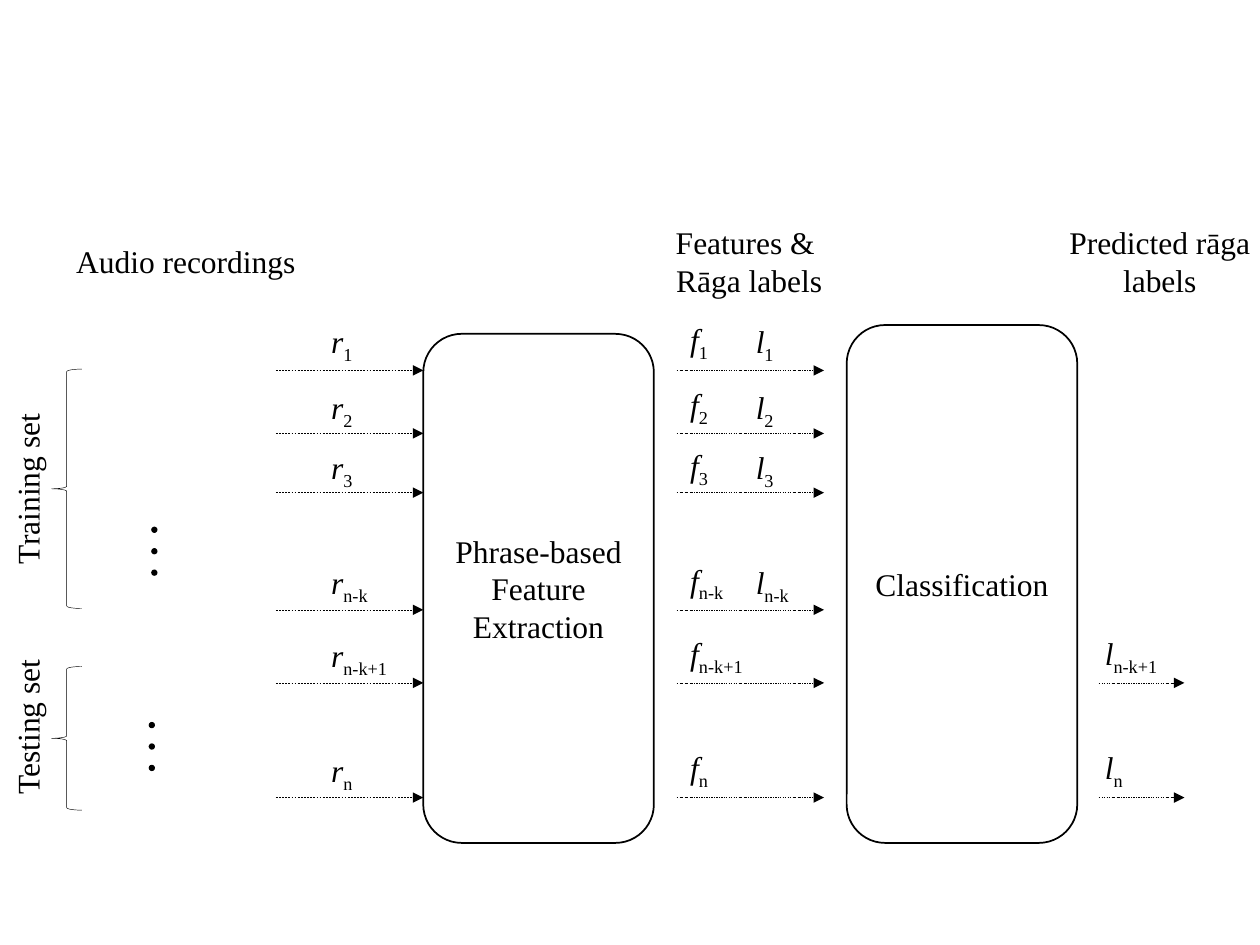
from lxml import etree
from pptx import Presentation
from pptx.dml.color import RGBColor
from pptx.enum.dml import MSO_LINE
from pptx.enum.shapes import MSO_CONNECTOR, MSO_SHAPE
from pptx.enum.text import MSO_ANCHOR, MSO_AUTO_SIZE, PP_ALIGN
from pptx.oxml.ns import qn
from pptx.util import Inches, Pt

BLACK = RGBColor(0, 0, 0)
FONT = "Times New Roman"
LEFT, CENTER = PP_ALIGN.LEFT, PP_ALIGN.CENTER
DASH, DASH_DOT = MSO_LINE.DASH, MSO_LINE.DASH_DOT
HAIRLINE = 0.25

# Each row: index, arrow height, label top, label width
ROWS = [
    ("1", 2.94, 2.51, 0.53),
    ("2", 3.44, 3.03, 0.53),
    ("3", 3.91, 3.51, 0.53),
    ("n-k", 4.84, 4.42, 0.64),
    ("n-k+1", 5.42, 5.0, 0.73),
    ("n", 6.33, 5.91, 0.53),
]
TRAINING, TESTING = ROWS[:4], ROWS[4:]

# Each symbol column: letter, left, shift from the label top, rows
SYMBOLS = [
    ("r", 2.53, 0, ROWS),
    ("f", 5.38, -0.02, ROWS),
    ("l", 5.9, 0, TRAINING),
    ("l", 8.67, -0.02, TESTING),
]
# Each arrow column: start, end, dash, rows
ARROWS = [
    (2.19, 3.36, DASH, ROWS),
    (5.37, 6.54, DASH_DOT, ROWS),
    (8.72, 9.4, DASH_DOT, TESTING),
]
STAGES = [
    (["Phrase-based Feature", "Extraction"], 3.36, 2.65, 4.04),
    (["Classification"], 6.72, 2.58, 4.11),
]
HEADINGS = [
    (["Audio recordings"], 0.42, 1.87, 0.4),
    (["Features &", " Rāga labels"], 4.86, 1.72, 0.71),
    (["Predicted rāga labels"], 8.15, 1.72, 0.71),
]
# Each set: name, brace top, brace height, label top, first dot, dot left
SETS = [
    ("Training set", 2.93, 1.9, 3.68, 4.18, 1.2),
    ("Testing set", 5.29, 1.14, 5.57, 5.73, 1.18),
]
STAGE_W, HEADING_W, LABEL_H = 1.83, 2.11, 0.4
DOT, DOT_STEP = 0.05, 0.17

prs = Presentation()
prs.slide_width, prs.slide_height = Inches(10), Inches(7.5)
s = prs.slides.add_slide(prs.slide_layouts[6])


def write(tf, lines, align=CENTER, italic=False, subscript=None):
    """Fill a frame with lines; a subscript follows the last line."""
    tf.word_wrap = True
    for i, line in enumerate(lines):
        p = tf.paragraphs[0] if i == 0 else tf.add_paragraph()
        p.alignment = align
        style_run(p, line, italic)
    if subscript:
        r = style_run(p, subscript)
        r.font._element.set("baseline", "-25000")


def style_run(p, text, italic=False):
    r = p.add_run()
    r.text = text
    r.font.name, r.font.size, r.font.italic = FONT, Pt(18), italic
    r.font.color.rgb = BLACK
    return r


def add_text(lines, x, y, w, h=LABEL_H, rotation=0, **fmt):
    box = s.shapes.add_textbox(*map(Inches, (x, y, w, h)))
    box.rotation = rotation
    write(box.text_frame, lines, **fmt)
    box.text_frame.auto_size = MSO_AUTO_SIZE.SHAPE_TO_FIT_TEXT


def add_shape(kind, x, y, w, h, line_width=None):
    """Draw an outline of the given width, or a solid black shape without one."""
    sp = s.shapes.add_shape(kind, *map(Inches, (x, y, w, h)))
    sp.shadow.inherit = False
    if line_width:
        sp.fill.background()
        sp.line.color.rgb = BLACK
        sp.line.width = Pt(line_width)
    else:
        sp.fill.solid()
        sp.fill.fore_color.rgb = BLACK
        sp.line.fill.background()
    return sp


def add_arrow(x1, x2, y, dash):
    c = s.shapes.add_connector(MSO_CONNECTOR.STRAIGHT, *map(Inches, (x1, y, x2, y)))
    c.line.color.rgb = BLACK
    c.line.width = Pt(HAIRLINE)
    c.line.dash_style = dash
    etree.SubElement(c.line._get_or_add_ln(), qn("a:tailEnd"), type="triangle")
    etree.SubElement(c._element.spPr, qn("a:effectLst"))


for lines, x, y, h in STAGES:
    sp = add_shape(MSO_SHAPE.ROUNDED_RECTANGLE, x, y, STAGE_W, h, line_width=1)
    sp.text_frame.vertical_anchor = MSO_ANCHOR.MIDDLE
    write(sp.text_frame, lines)

for name, brace_y, brace_h, label_y, dot_y, dot_x in SETS:
    add_shape(MSO_SHAPE.LEFT_BRACE, 0.41, brace_y, 0.24, brace_h, line_width=HAIRLINE)
    add_text([name], -0.84, label_y, HEADING_W, rotation=270)
    for i in range(3):
        add_shape(MSO_SHAPE.OVAL, dot_x, dot_y + i * DOT_STEP, DOT, DOT)

for lines, x, y, h in HEADINGS:
    add_text(lines, x, y, HEADING_W, h)

for x1, x2, dash, rows in ARROWS:
    for _, arrow_y, _, _ in rows:
        add_arrow(x1, x2, arrow_y, dash)

for letter, x, shift, rows in SYMBOLS:
    for index, _, label_y, w in rows:
        add_text([letter], x, label_y + shift, w, align=LEFT, italic=True, subscript=index)

prs.save("out.pptx")
